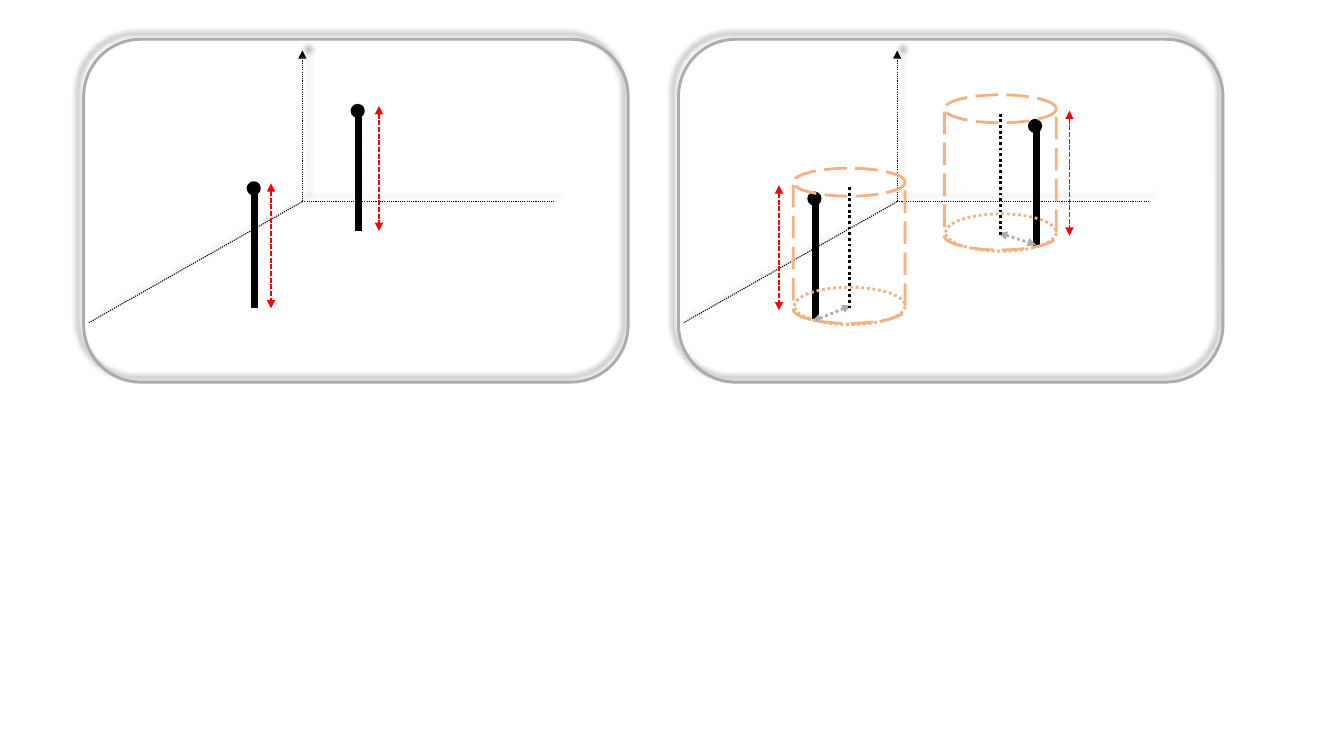
import dataclasses

import pptx
import pptx.dml.color
import pptx.enum.dml
import pptx.enum.shapes
import pptx.oxml
import pptx.oxml.ns
import pptx.util
from lxml import etree

Cm = pptx.util.Cm
Pt = pptx.util.Pt
SHAPE = pptx.enum.shapes.MSO_SHAPE
DASH = pptx.enum.dml.MSO_LINE


@dataclasses.dataclass(frozen=True)
class Stroke:
    color: str
    width: float
    dash: object = None


@dataclasses.dataclass(frozen=True)
class Theme:
    ink: str = "000000"
    axis: Stroke = Stroke("000000", 0.8, DASH.ROUND_DOT)
    pin_head: Stroke = Stroke("000000", 3)
    pin_stem: Stroke = Stroke("000000", 5)
    height: Stroke = Stroke("FF0000", 1.2, DASH.SQUARE_DOT)
    radius: Stroke = Stroke("AFABAB", 2, DASH.ROUND_DOT)
    center: Stroke = Stroke("000000", 2, DASH.ROUND_DOT)
    cylinder: Stroke = Stroke("F4B183", 2, DASH.LONG_DASH)
    base: Stroke = Stroke("F4B183", 2, DASH.ROUND_DOT)
    frame: Stroke = Stroke("AFABAB", 2.1)


THEME = Theme()
PANEL_STEP = 14.99
PIN_HEIGHT = 3.15


def apply_stroke(line, stroke):
    line.color.rgb = pptx.dml.color.RGBColor.from_string(stroke.color)
    line.width = Pt(stroke.width)
    if stroke.dash is not None:
        line.dash_style = stroke.dash


def set_shadow(item, angle):
    """Give the item an outer shadow at this angle in degrees, or none."""
    qn = pptx.oxml.ns.qn
    effects = etree.SubElement(item._element.spPr, qn("a:effectLst"))
    if angle is None:
        return
    shadow = etree.SubElement(
        effects, qn("a:outerShdw"), blurRad=str(Pt(4)), dist=str(Pt(6)),
        dir=str(angle * 60000), algn="ctr", rotWithShape="0")
    color = etree.SubElement(shadow, qn("a:srgbClr"), val=THEME.ink)
    etree.SubElement(color, qn("a:alpha"), val="40000")


def add_line(group, start, end, stroke, arrows=(), shadow=None):
    """Draw a line; arrows lists the ends, headEnd (start) and tailEnd (end)."""
    connector = group.shapes.add_connector(
        pptx.enum.shapes.MSO_CONNECTOR.STRAIGHT,
        *(Cm(value) for value in (*start, *end)))
    apply_stroke(connector.line, stroke)
    outline = connector.line._get_or_add_ln()
    for arrow in arrows:
        etree.SubElement(outline, pptx.oxml.ns.qn(f"a:{arrow}"), type="triangle")
    set_shadow(connector, shadow)


def add_outline(group, kind, bounds, stroke, fill=None, shadow=None):
    shape = group.shapes.add_shape(kind, *(Cm(value) for value in bounds))
    if fill:
        shape.fill.solid()
        shape.fill.fore_color.rgb = pptx.dml.color.RGBColor.from_string(fill)
    else:
        shape.fill.background()
    apply_stroke(shape.line, stroke)
    set_shadow(shape, shadow)


def add_axes(group, shift):
    origin = (7.62 + shift, 5.08)
    add_line(group, origin, (origin[0], 1.27), THEME.axis, ["tailEnd"], 315)
    add_line(group, origin, (2.24 + shift, 8.13), THEME.axis, shadow=315)
    add_line(group, (13.97 + shift, origin[1]), origin, THEME.axis, shadow=315)


def add_pin(group, left, top):
    add_outline(group, SHAPE.OVAL, (left, top, 0.25, 0.25), THEME.pin_head, THEME.ink)
    stem = left + 0.15
    add_line(group, (stem, top + PIN_HEIGHT), (stem, top + 0.1), THEME.pin_stem)


def add_double_arrow(group, start, end, stroke):
    add_line(group, start, end, stroke, ["headEnd", "tailEnd"])


def add_height_arrow(group, x, top):
    add_double_arrow(group, (x, top), (x, top + PIN_HEIGHT), THEME.height)


def add_cylinder(group, left, top):
    """Draw a dashed cylinder with its centre line and dotted base."""
    center = left + 1.42
    add_line(group, (center, top + 3.53), (center, top + 0.48), THEME.center)
    add_outline(group, SHAPE.CAN, (left, top, 2.82, 3.91), THEME.cylinder)
    add_outline(group, SHAPE.OVAL, (left + 0.03, top + 3, 2.79, 0.94), THEME.base)


def add_frame(group, shift):
    add_outline(group, SHAPE.ROUNDED_RECTANGLE, (2.11 + shift, 0.99, 13.72, 8.64),
                THEME.frame, shadow=225)


def add_panel(page, shift, pins, heights, radii=(), cylinders=()):
    group = page.shapes.add_group_shape()
    add_axes(group, shift)
    for pin in pins:
        add_pin(group, *pin)
    for height in heights:
        add_height_arrow(group, *height)
    for start, end in radii:
        add_double_arrow(group, start, end, THEME.radius)
    for cylinder in cylinders:
        add_cylinder(group, *cylinder)
    add_frame(group, shift)


def main():
    deck = pptx.Presentation()
    deck.slide_width, deck.slide_height = Cm(33.87), Cm(19.05)
    page = deck.slides.add_slide(deck.slide_layouts[6])
    add_panel(page, 0,
              pins=[(6.27, 4.62), (8.89, 2.67)],
              heights=[(6.83, 4.62), (9.55, 2.67)])
    add_panel(page, PANEL_STEP,
              pins=[(20.4, 4.88), (25.96, 3.05)],
              heights=[(19.63, 4.67), (26.95, 2.79)],
              radii=[((21.44, 7.7), (20.47, 8.1)), ((25.17, 5.87), (26.11, 6.17))],
              cylinders=[(19.99, 4.24), (23.8, 2.39)])
    deck.save("out.pptx")


if __name__ == "__main__":
    main()
